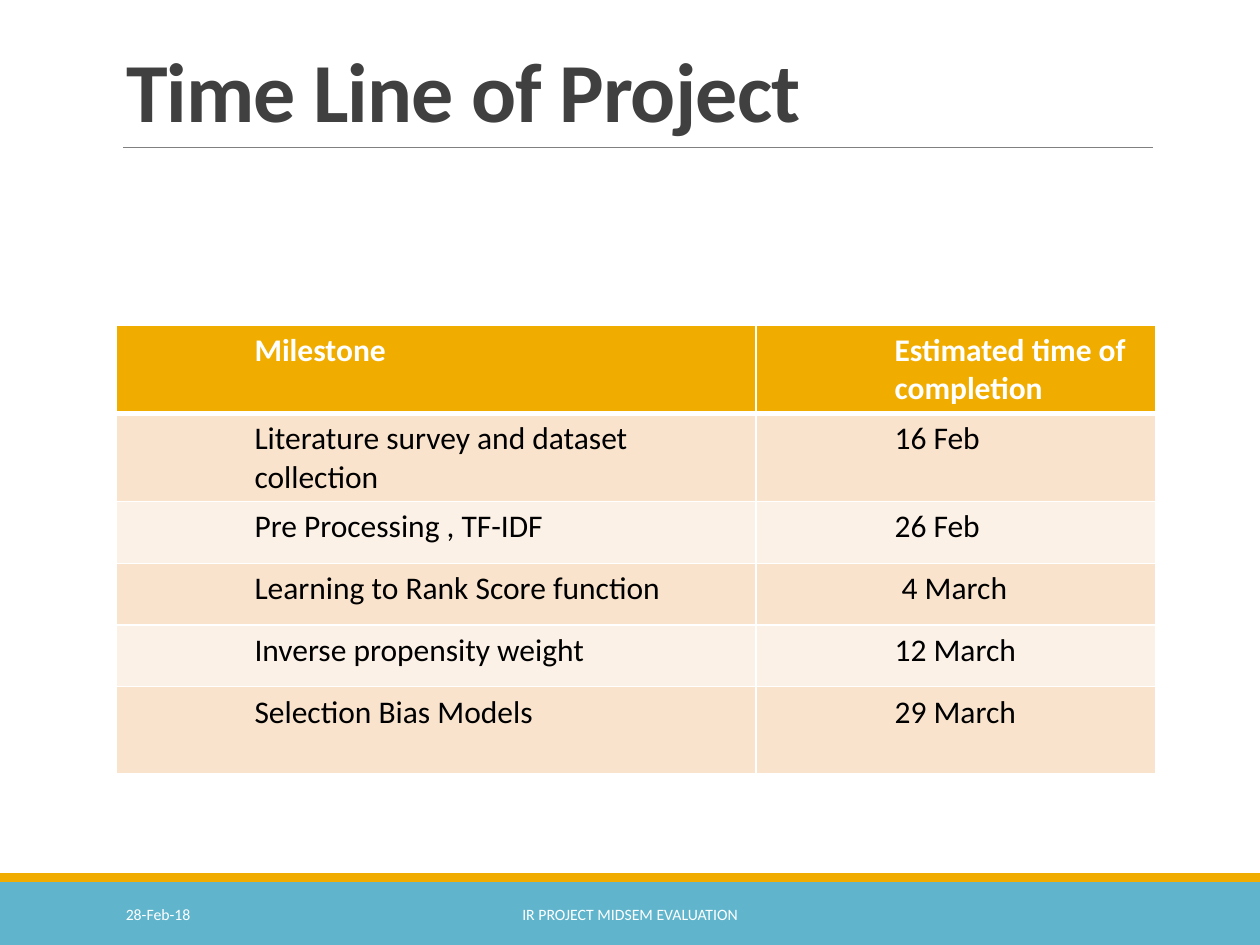
import pptx
import pptx.util
from lxml import etree
from pptx.dml.color import RGBColor
from pptx.enum.shapes import MSO_CONNECTOR, MSO_SHAPE
from pptx.enum.text import MSO_ANCHOR, MSO_AUTO_SIZE, PP_ALIGN
from pptx.oxml.ns import qn
from pptx.util import Inches, Pt

TITLE = "Time Line of Project"
MILESTONES = [
    ("Milestone", "Estimated time of\ncompletion"),
    ("Literature survey and dataset collection", "16 Feb"),
    ("Pre Processing , TF-IDF", "26 Feb"),
    ("Learning to Rank Score function", " 4 March"),
    ("Inverse propensity weight", "12 March"),
    ("Selection Bias Models", "29 March"),
]
COLUMN_WIDTHS = [5.08, 3.17]
ROW_HEIGHTS = [0.69, 0.49, 0.49, 0.49, 0.49, 0.69]

WHITE = RGBColor(0xFF, 0xFF, 0xFF)
BLACK = RGBColor(0, 0, 0)
DARK_GRAY = RGBColor(0x40, 0x40, 0x40)
RULE_GRAY = RGBColor(0x80, 0x80, 0x80)
BLUE = RGBColor(0x60, 0xB5, 0xCC)
GOLD = RGBColor(0xF0, 0xAD, 0x00)
BAND_COLORS = [RGBColor(0xFC, 0xF1, 0xE7), RGBColor(0xF9, 0xE3, 0xCC)]

FOOTER_BANDS = [((0, 7, 10, 0.5), BLUE), ((0, 6.93, 10, 0.07), GOLD)]
FOOTER_TEXTS = [
    ("28-Feb-18", (0.9, 7.06, 2.03, 0.4), PP_ALIGN.LEFT),
    ("IR PROJECT MIDSEM EVALUATION", (3.02, 7.06, 3.96, 0.4), PP_ALIGN.CENTER),
]
TITLE_FONT = {"name": "Calibri", "size": Pt(48), "bold": True}
FOOTER_FONT = {"name": "Calibri", "size": Pt(9)}
HEADER_FONT = {"name": "Calibri", "size": Pt(18), "bold": True}
BODY_FONT = {"name": "Calibri", "size": Pt(18), "bold": False}


def format_font(font, values, color):
    for name, value in values.items():
        setattr(font, name, value)
    font.color.rgb = color


def add_title(slide):
    title = slide.shapes.title
    title.left, title.top, title.width, title.height = map(Inches, (0.9, 0.31, 8.25, 0.85))
    frame = title.text_frame
    frame.text = TITLE
    frame.auto_size = MSO_AUTO_SIZE.NONE
    frame.vertical_anchor = MSO_ANCHOR.BOTTOM
    paragraph = frame.paragraphs[0]
    paragraph.alignment = PP_ALIGN.LEFT
    paragraph.line_spacing = 0.85
    run = paragraph.runs[0]
    format_font(run.font, TITLE_FONT, DARK_GRAY)
    run._r.get_or_add_rPr().set("spc", "-50")

    rule = slide.shapes.add_connector(
        MSO_CONNECTOR.STRAIGHT, *map(Inches, (0.98, 1.17, 9.15, 1.17)))
    rule.line.color.rgb = RULE_GRAY
    rule.line.width = Pt(0.5)
    etree.SubElement(rule._element.spPr, qn("a:effectLst"))


def add_footer(slide):
    for place, color in FOOTER_BANDS:
        band = slide.shapes.add_shape(MSO_SHAPE.RECTANGLE, *map(Inches, place))
        band.shadow.inherit = False
        band.fill.solid()
        band.fill.fore_color.rgb = color
        band.line.fill.background()
    for text, place, alignment in FOOTER_TEXTS:
        frame = slide.shapes.add_textbox(*map(Inches, place)).text_frame
        frame.word_wrap = True
        frame.vertical_anchor = MSO_ANCHOR.MIDDLE
        frame.text = text
        frame.paragraphs[0].alignment = alignment
        format_font(frame.paragraphs[0].runs[0].font, FOOTER_FONT, WHITE)


def set_borders(cell, widths):
    """Draw white cell borders; widths maps L, R, T and B to points."""
    properties = cell._tc.get_or_add_tcPr()
    for side, width in widths.items():
        border = etree.SubElement(properties, qn(f"a:ln{side}"), w=str(Pt(width)))
        fill = etree.SubElement(border, qn("a:solidFill"))
        etree.SubElement(fill, qn("a:srgbClr"), val=str(WHITE))


def add_milestone_table(slide):
    table = slide.shapes.add_table(
        len(MILESTONES), len(COLUMN_WIDTHS), Inches(0.92), Inches(2.58),
        Inches(sum(COLUMN_WIDTHS)), Inches(sum(ROW_HEIGHTS))).table
    for column, width in zip(table.columns, COLUMN_WIDTHS):
        column.width = Inches(width)
    for row, height in zip(table.rows, ROW_HEIGHTS):
        row.height = Inches(height)

    for row_index, texts in enumerate(MILESTONES):
        is_header = row_index == 0
        for column_index, text in enumerate(texts):
            cell = table.cell(row_index, column_index)
            set_borders(cell, {"L": 1, "R": 1, "T": 3 if row_index == 1 else 1,
                               "B": 3 if is_header else 1})
            cell.fill.solid()
            cell.fill.fore_color.rgb = GOLD if is_header else BAND_COLORS[row_index % 2]
            cell.text_frame.text = text
            for paragraph in cell.text_frame.paragraphs:
                paragraph.level = 2
                indents = paragraph._p.get_or_add_pPr()
                indents.set("marL", str(Inches(1)))
                indents.set("indent", "0")
                format_font(paragraph.runs[0].font,
                            HEADER_FONT if is_header else BODY_FONT,
                            WHITE if is_header else BLACK)


def main():
    presentation = pptx.Presentation()
    presentation.slide_width = Inches(10)
    presentation.slide_height = Inches(7.5)
    slide = presentation.slides.add_slide(presentation.slide_layouts.get_by_name("Title Only"))
    add_footer(slide)
    add_title(slide)
    add_milestone_table(slide)
    presentation.save("out.pptx")


if __name__ == "__main__":
    main()
